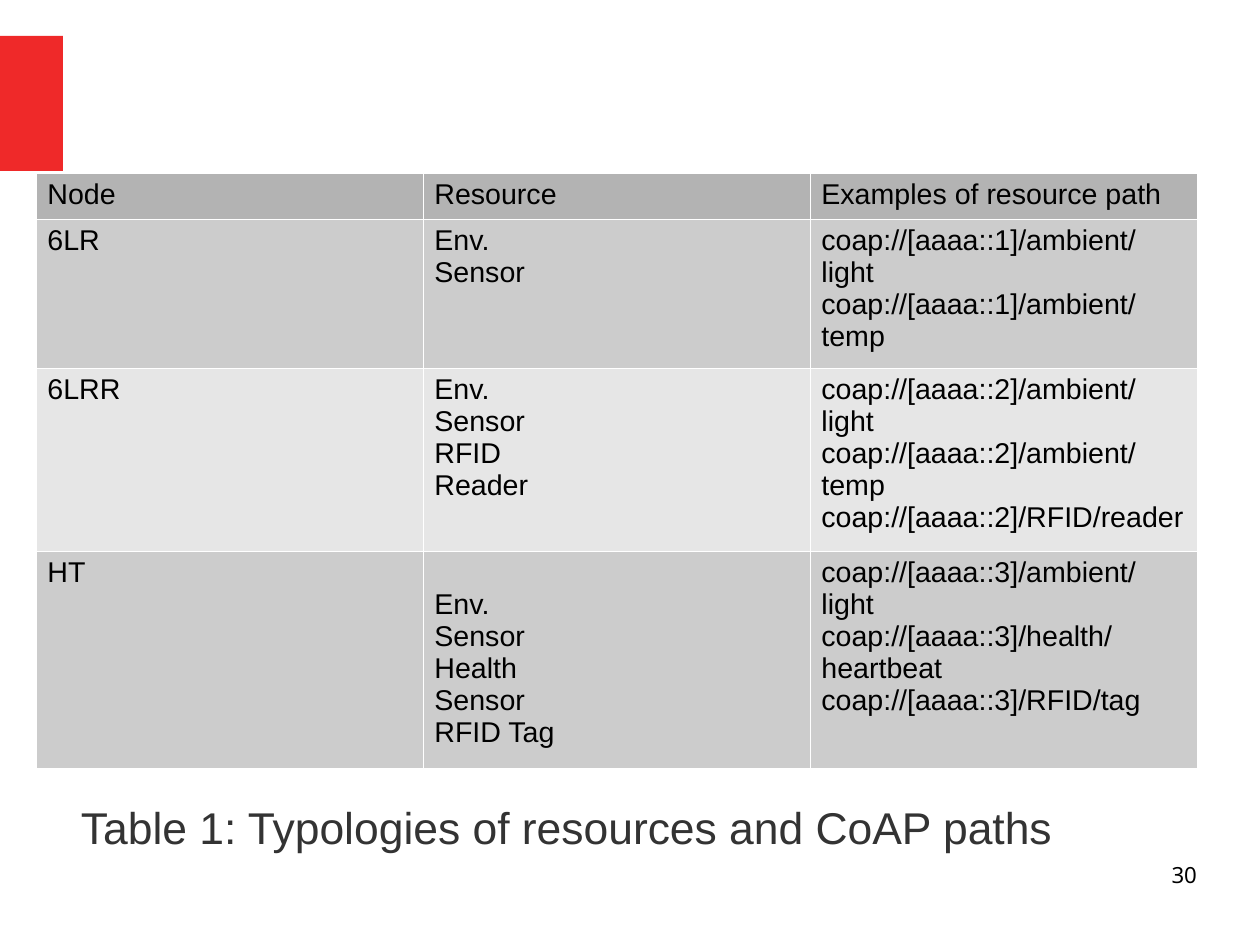
import pptx
import pptx.dml.color
import pptx.enum.shapes
import pptx.enum.text
import pptx.oxml
import pptx.oxml.ns
import pptx.util

PX = 8000  # EMU per px
ALIGN = pptx.enum.text.PP_ALIGN
ANCHOR = pptx.enum.text.MSO_ANCHOR


def color(code):
    return pptx.dml.color.RGBColor.from_string(code)


def write(frame, lines, size, face, ink, align=ALIGN.LEFT):
    """Fill a text frame with one paragraph per line."""
    frame.word_wrap = True
    frame.text = "\n".join(lines)
    for para in frame.paragraphs:
        para.alignment = align
        font = para.runs[0].font
        for name, value in {"size": pptx.util.Pt(size), "name": face}.items():
            setattr(font, name, value)
        font.color.rgb = color(ink)


deck = pptx.Presentation()
deck.slide_width, deck.slide_height = 1260 * PX, 945 * PX
slide = deck.slides.add_slide(deck.slide_layouts[6])

# Red accent at the left edge
accent = slide.shapes.add_shape(
    pptx.enum.shapes.MSO_SHAPE.RECTANGLE, 0, 36 * PX, 63 * PX, 135 * PX)
accent.shadow.inherit = False
accent.fill.solid()
accent.fill.fore_color.rgb = color("EF2929")
accent.line.fill.background()

# Caption and page number
labels = [
    ("Table 1: Typologies of resources and CoAP paths",
     (81, 748, 1106, 158), 28, "Arial", "333333", ALIGN.LEFT, ANCHOR.MIDDLE),
    ("30", (903, 861, 294, 65), 14, "Noto Sans", "000000", ALIGN.RIGHT, ANCHOR.TOP),
]
for text, place, size, face, ink, align, anchor in labels:
    frame = slide.shapes.add_textbox(*[n * PX for n in place]).text_frame
    for side in ("left", "top", "right", "bottom"):
        setattr(frame, "margin_" + side, 0)
    frame.vertical_anchor = anchor
    write(frame, [text], size, face, ink, align)

# Resource table: height, fill, cells
rows = [
    (44, "B3B3B3", [["Node"], ["Resource"], ["Examples of resource path"]]),
    (149, "CCCCCC", [
        ["6LR"],
        ["Env.", "Sensor"],
        ["coap://[aaaa::1]/ambient/light", "coap://[aaaa::1]/ambient/temp"]]),
    (183, "E6E6E6", [
        ["6LRR"],
        ["Env.", "Sensor", "RFID", "Reader"],
        ["coap://[aaaa::2]/ambient/light", "coap://[aaaa::2]/ambient/temp",
         "coap://[aaaa::2]/RFID/reader"]]),
    (217, "CCCCCC", [
        ["HT"],
        ["Env.", "Sensor", "Health", "Sensor", "RFID Tag"],
        ["coap://[aaaa::3]/ambient/light", "coap://[aaaa::3]/health/heartbeat",
         "coap://[aaaa::3]/RFID/tag"]]),
]
high = sum(row[0] for row in rows)
table = slide.shapes.add_table(
    len(rows), 3, 36 * PX, 173 * PX, 1161 * PX, high * PX).table
border = ('<a:{} {} w="762"><a:solidFill><a:srgbClr val="FFFFFF"/>'
          '</a:solidFill></a:{}>')
for r, (height, shade, texts) in enumerate(rows):
    table.rows[r].height = height * PX
    for c, lines in enumerate(texts):
        cell = table.cell(r, c)
        write(cell.text_frame, lines, 18, "Arial", "000000")
        props = cell._tc.get_or_add_tcPr()
        for tag in ("lnL", "lnR", "lnT", "lnB"):
            props.append(pptx.oxml.parse_xml(
                border.format(tag, pptx.oxml.ns.nsdecls("a"), tag)))
        cell.fill.solid()
        cell.fill.fore_color.rgb = color(shade)

# The HT resources start one line lower
table.cell(3, 1).margin_top = 38 * PX

deck.save("out.pptx")
